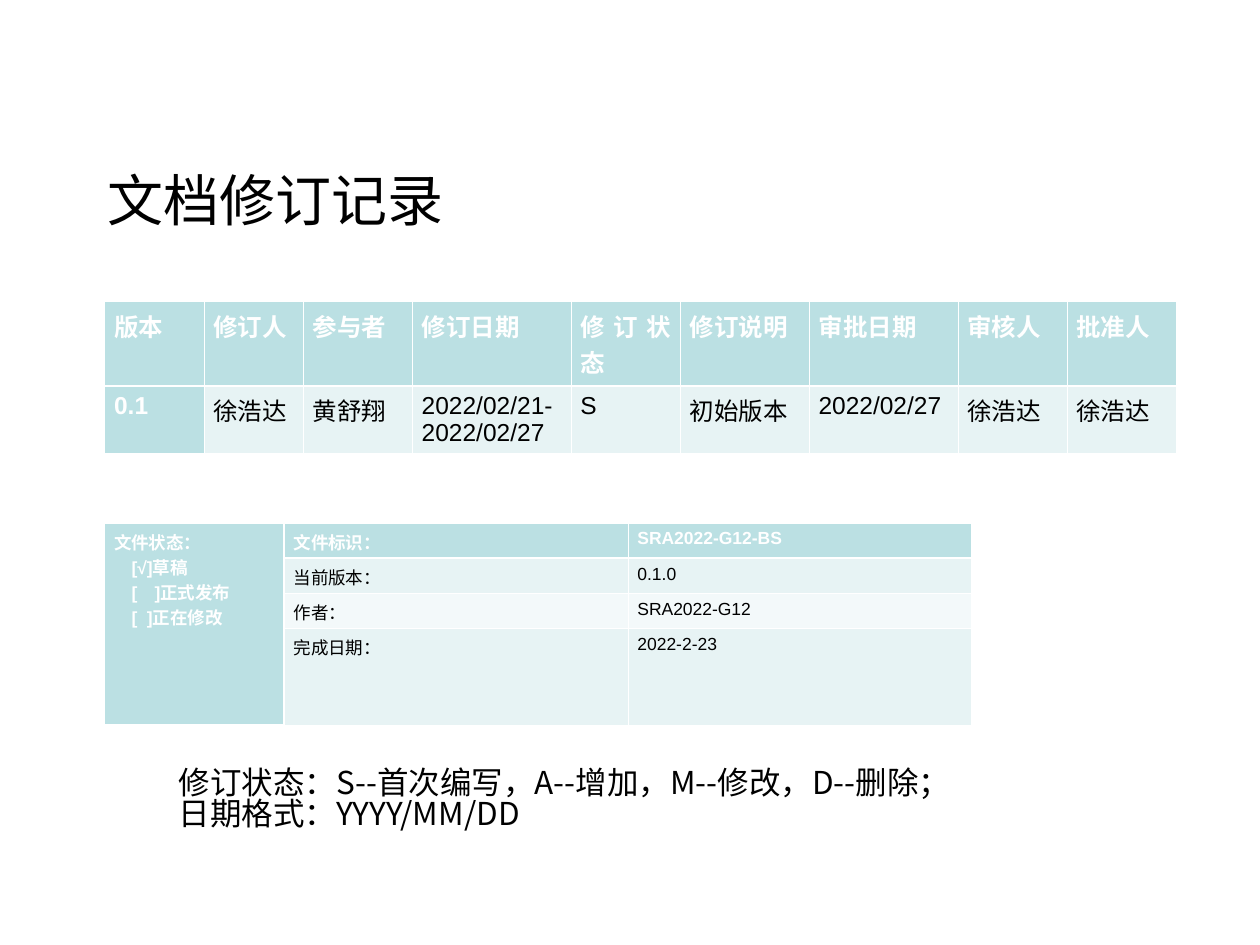
from dataclasses import dataclass

import pptx
import pptx.dml.color
import pptx.enum.text
import pptx.oxml
import pptx.oxml.ns
import pptx.util
from pptx.util import Cm, Pt

RGBColor = pptx.dml.color.RGBColor
PP_ALIGN = pptx.enum.text.PP_ALIGN

WHITE = RGBColor(0xFF, 0xFF, 0xFF)
BLACK = RGBColor(0x00, 0x00, 0x00)
TEAL = RGBColor(0xBB, 0xE0, 0xE3)
BAND_DARK = RGBColor(0xE7, 0xF3, 0xF4)
BAND_LIGHT = RGBColor(0xF3, 0xF9, 0xFA)

CJK = "Noto Sans CJK SC"
THIN, THICK = 0.45, 1.47


@dataclass
class TableSpec:
    left: float
    top: float
    cols: list[float]
    heights: list[float]
    rows: list[list[str]]
    size: float
    merge_first: bool = False
    serif_cols: tuple[int, ...] = ()


@dataclass
class TextSpec:
    left: float
    top: float
    width: float
    height: float
    lines: list[str]
    size: float
    align: PP_ALIGN
    inset_x: float = 0.25
    inset_top: float = 0
    spacing: float = 1.0


def set_font(p, name: str, size: float, color: RGBColor, bold: bool = False) -> None:
    p.font.name, p.font.size, p.font.bold = name, Pt(size), bold
    p.font.color.rgb = color
    for r in p.runs:
        ea = pptx.oxml.parse_xml(
            f'<a:ea {pptx.oxml.ns.nsdecls("a")} typeface="{CJK}"/>')
        r.font._element.append(ea)


def set_borders(cell, **widths: float) -> None:
    tc_pr = cell._tc.get_or_add_tcPr()
    for i, side in enumerate("LRTB"):
        w = Pt(widths.get(side, THIN))
        tc_pr.insert(i, pptx.oxml.parse_xml(
            f'<a:ln{side} {pptx.oxml.ns.nsdecls("a")} w="{w}"><a:solidFill>'
            f'<a:srgbClr val="{WHITE}"/></a:solidFill></a:ln{side}>'))


def draw_table(s, spec: TableSpec) -> None:
    n = len(spec.rows)
    frame = s.shapes.add_table(n, len(spec.cols), Cm(spec.left), Cm(spec.top),
                               Cm(sum(spec.cols)), Cm(sum(spec.heights)))
    table = frame.table
    for col, w in zip(table.columns, spec.cols):
        col.width = Cm(w)
    for row, h in zip(table.rows, spec.heights):
        row.height = Cm(h)
    if spec.merge_first:
        table.cell(0, 0).merge(table.cell(n - 1, 0))

    for i, row in enumerate(spec.rows):
        for j, text in enumerate(row):
            cell = table.cell(i, j)
            head = i == 0 or j == 0
            band = BAND_DARK if i % 2 else BAND_LIGHT
            cell.fill.solid()
            cell.fill.fore_color.rgb = TEAL if head else band
            cell.margin_left = cell.margin_right = Cm(0.19)
            edges = {"T": THICK} if i == 1 else {"B": THICK} if i == 0 else {}
            if spec.merge_first and j < 2:
                edges["R" if j == 0 else "L"] = THICK
            set_borders(cell, **edges)
            if cell.is_spanned:
                continue
            cell.text_frame.text = text
            serif = i > 0 and j in spec.serif_cols
            for p in cell.text_frame.paragraphs:
                p.alignment = PP_ALIGN.JUSTIFY
                set_font(p, "Times New Roman" if serif else "Arial", spec.size,
                         WHITE if head else BLACK, head)


def draw_text(s, spec: TextSpec) -> None:
    sp = s.shapes.add_textbox(Cm(spec.left), Cm(spec.top),
                              Cm(spec.width), Cm(spec.height))
    tf = sp.text_frame
    tf.word_wrap = True
    tf.margin_left = tf.margin_right = Cm(spec.inset_x)
    tf.margin_top = Cm(spec.inset_top)
    tf.text = "\n".join(spec.lines)
    for p in tf.paragraphs:
        p.alignment = spec.align
        p.line_spacing = spec.spacing
        set_font(p, CJK, spec.size, BLACK)


REVISIONS = TableSpec(
    2.11, 6.08, [2, 2, 2.2, 3.2, 2.2, 2.6, 3, 2.2, 2.2], [1.45, 1.12],
    [["版本", "修订人", "参与者", "修订日期", "修订状态", "修订说明",
      "审批日期", "审核人", "批准人"],
     ["0.1", "徐浩达", "黄舒翔", "2022/02/21-2022/02/27", "S", "初始版本",
      "2022/02/27", "徐浩达", "徐浩达"]],
    14, serif_cols=(1, 2, 7, 8))

STATUS = TableSpec(
    2.11, 10.54, [3.62, 6.93, 6.93], [0.71, 0.71, 0.71, 1.7],
    [["文件状态：\n　[√]草稿\n　[　]正式发布\n　[  ]正在修改",
      "文件标识：", "SRA2022-G12-BS"],
     ["", "当前版本：", "0.1.0"],
     ["", "作者：", "SRA2022-G12"],
     ["", "完成日期：", "2022-2-23"]],
    10, merge_first=True)

TITLE = TextSpec(0.89, 3.33, 9.32, 2.31, ["文档修订记录"], 32, PP_ALIGN.CENTER)

LEGEND = TextSpec(
    3.35, 15.32, 17.22, 2.54,
    ["修订状态：S--首次编写，A--增加，M--修改，D--删除；", "日期格式：YYYY/MM/DD"],
    18, PP_ALIGN.LEFT, inset_top=0.2, spacing=0.82)


def main() -> None:
    prs = pptx.Presentation()
    prs.slide_width, prs.slide_height = Cm(25.4), Cm(19.05)
    s = prs.slides.add_slide(prs.slide_layouts[6])

    # Revision history
    draw_table(s, REVISIONS)
    # Title and legend
    draw_text(s, TITLE)
    draw_text(s, LEGEND)
    # Document status
    draw_table(s, STATUS)

    prs.save("out.pptx")


if __name__ == "__main__":
    main()
